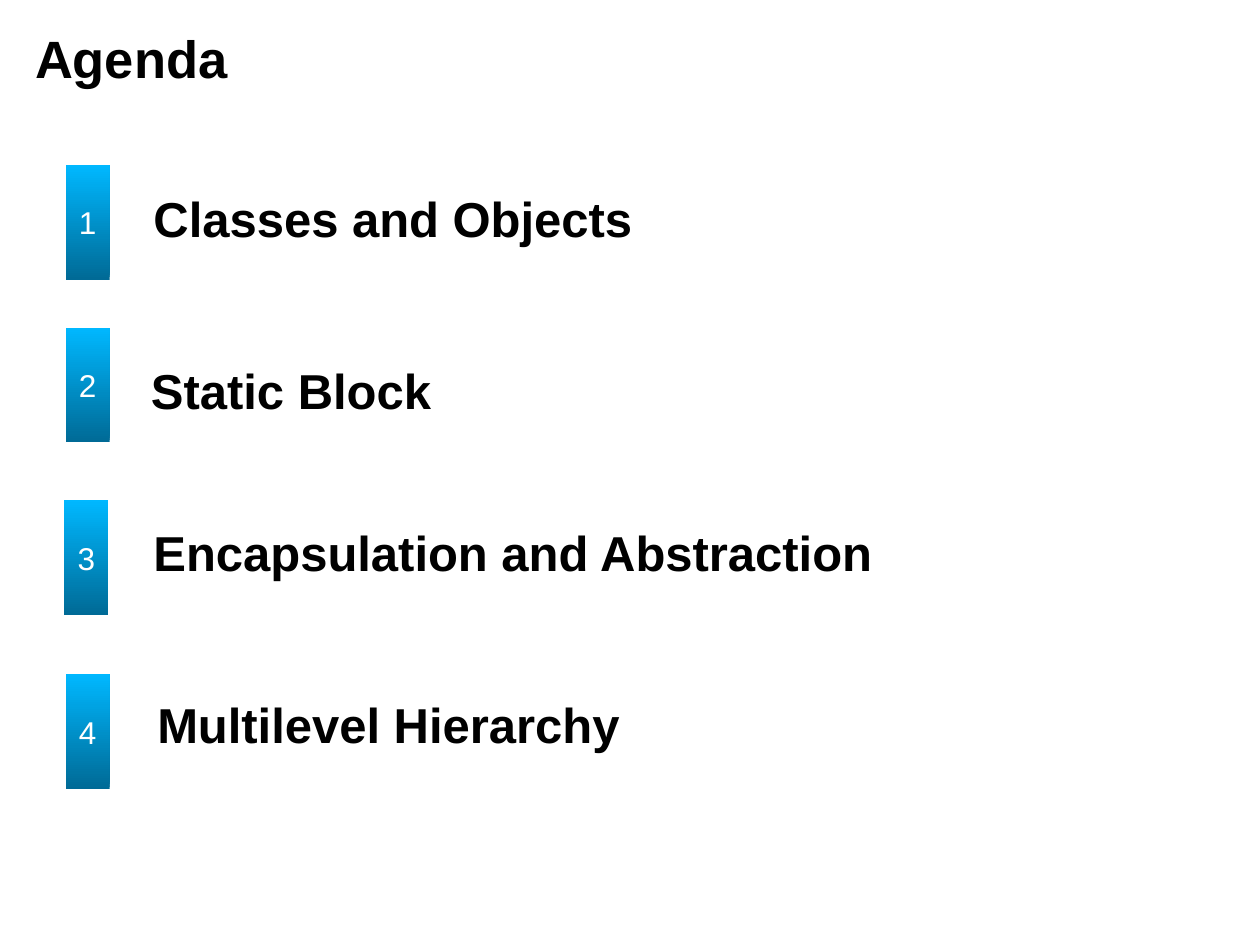
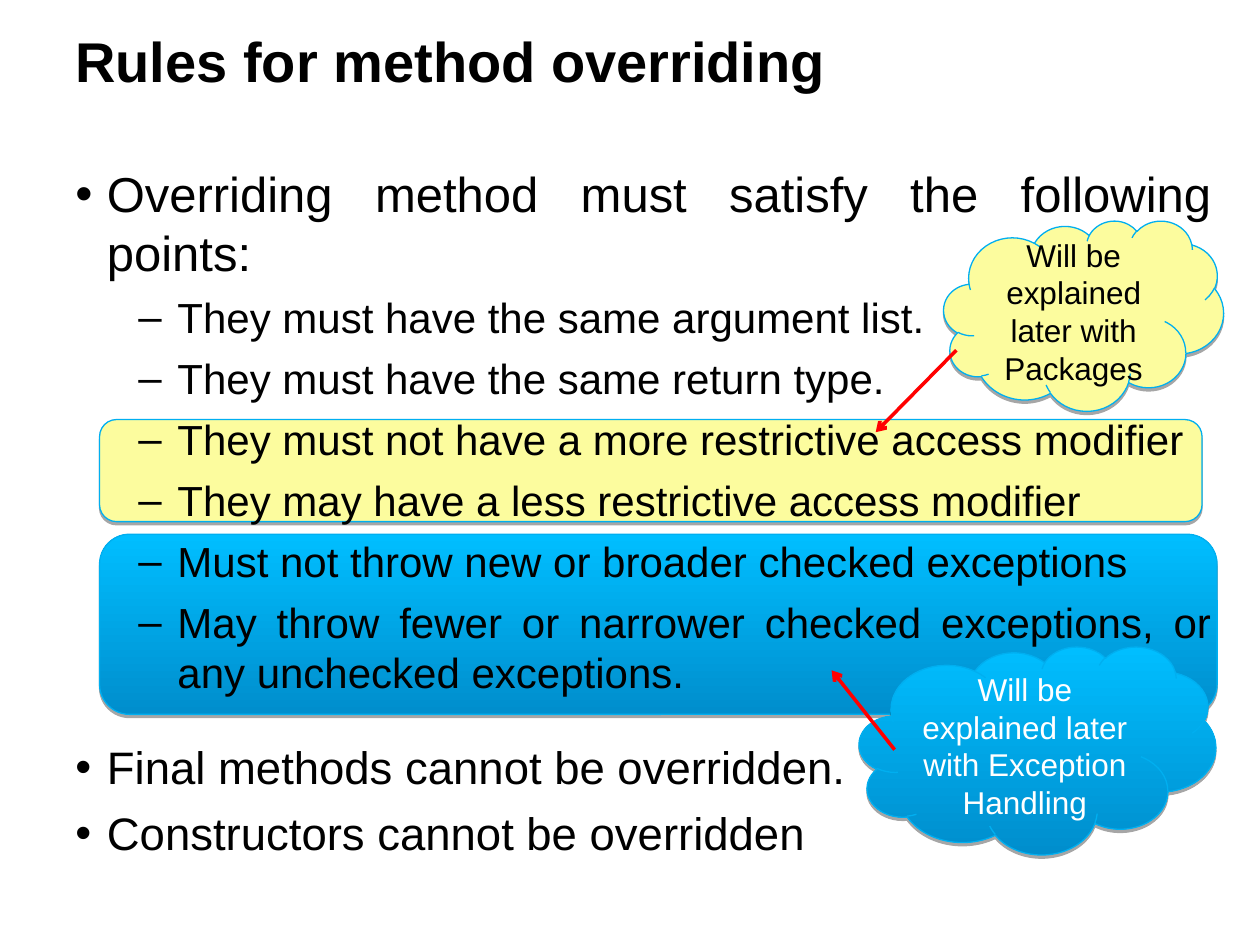
from lxml.etree import SubElement
from pptx import Presentation
from pptx.dml.color import RGBColor
from pptx.enum.shapes import MSO_CONNECTOR as Link, MSO_SHAPE as Shape
from pptx.enum.text import MSO_ANCHOR as Anchor, PP_ALIGN as Align
from pptx.oxml.ns import qn
from pptx.util import Inches, Pt

# Shared look
color = RGBColor.from_string
BLACK, WHITE, RED = "000000", "FFFFFF", "FF0000"
YELLOW, EDGE = "FCFC9E", "00AFF0"
BADGE_BLUE = ("006A96", "00B8FF")  # bottom, top
PANEL_BLUE = ("008ECD", "00BEFF")
TITLE = {"size": Pt(30), "bold": True}
TOPIC = {"size": Pt(28), "bold": True}
NOTE = {"size": Pt(18)}


def write(para, text, formats, ink=BLACK):
    span = para.add_run()
    span.text = text
    for name, value in {"name": "Arial", **formats}.items():
        setattr(span.font, name, value)
    span.font.color.rgb = color(ink)


def add_panel(page, kind, place, fill, edge=None):
    """Add a filled shape; an edged one also gets a soft shadow."""
    panel = page.shapes.add_shape(kind, *map(Inches, place))
    if isinstance(fill, tuple):
        panel.fill.gradient()
        panel.fill.gradient_angle = 90
        for stop, position, shade in zip(panel.fill.gradient_stops, (0, 1), fill):
            stop.position = position
            stop.color.rgb = color(shade)
    else:
        panel.fill.solid()
        panel.fill.fore_color.rgb = color(fill)
    panel.shadow.inherit = False
    if edge:
        panel.line.color.rgb = color(edge)
        panel.line.width = Pt(0.75)
        effects = panel._element.spPr.find(qn("a:effectLst"))
        shadow = SubElement(effects, qn("a:outerShdw"), blurRad="0",
                            dist=str(Pt(1.8)), dir="5400000", rotWithShape="0")
        shade = SubElement(shadow, qn("a:srgbClr"), val=BLACK)
        SubElement(shade, qn("a:alpha"), val="35000")
    else:
        panel.line.fill.background()
    frame = panel.text_frame
    frame.word_wrap = True
    frame.vertical_anchor = Anchor.MIDDLE
    frame.paragraphs[0].alignment = Align.CENTER
    return panel


deck = Presentation()
deck.slide_width, deck.slide_height = Inches(10), Inches(7.5)
blank = deck.slide_layouts[6]
agenda, rules = [deck.slides.add_slide(blank) for _ in range(2)]

# Titles
titles = [
    (agenda, "Agenda", (0.18, 0.16, 9.28, 0.61), TITLE),
    (rules, "Rules for method overriding", (0.5, 0.16, 9, 0.64), {**TITLE, "size": Pt(32)}),
]

# Agenda: numbered badges with their topics
topics = [
    ("Classes and Objects", 0.52, 1.31, 1.12, 1.45),
    ("Static Block", 0.52, 2.6, 1.1, 2.81),
    ("Encapsulation and Abstraction", 0.51, 3.97, 1.12, 4.1),
    ("Multilevel Hierarchy", 0.52, 5.35, 1.15, 5.46),
]
for number, (topic, badge_left, badge_top, left, top) in enumerate(topics, 1):
    badge = add_panel(agenda, Shape.RECTANGLE, (badge_left, badge_top, 0.35, 0.91), BADGE_BLUE)
    write(badge.text_frame.paragraphs[0], str(number), NOTE, WHITE)
    titles.append((agenda, topic, (left, top, 7.67, 0.71), TOPIC))

# Rules: highlight panels behind the list
for place, fill in [((0.79, 3.33, 8.75, 0.81), YELLOW), ((0.79, 4.24, 8.87, 1.43), PANEL_BLUE)]:
    add_panel(rules, Shape.ROUNDED_RECTANGLE, place, fill, EDGE)

# Headings of both slides
for page, text, place, formats in titles:
    box = page.shapes.add_textbox(*map(Inches, place))
    box.text_frame.word_wrap = True
    write(box.text_frame.paragraphs[0], text, formats)

# Rules: bulleted list, as (level, size, space before, text)
points = [
    (0, 28, 0, "Overriding method must satisfy the following points:"),
    (1, 24, 6, "They must have the same argument list."),
    (1, 24, 6, "They must have the same return type."),
    (1, 24, 6, "They must not have a more restrictive access modifier"),
    (1, 24, 6, "They may have a less restrictive access modifier"),
    (1, 24, 6, "Must not throw new or broader checked exceptions"),
    (1, 24, 6, "May throw fewer or narrower checked exceptions, or any unchecked exceptions."),
    (0, 26, 24, "Final methods cannot be overridden."),
    (0, 26, 6.5, "Constructors cannot be overridden"),
]
bullets = [("•", 0.25, 0.25), ("–", 0.81, 0.31)]  # mark, margin, hanging indent
box = rules.shapes.add_textbox(Inches(0.5), Inches(1.25), Inches(9.21), Inches(5.95))
frame = box.text_frame
frame.word_wrap = True
for index, (level, size, before, text) in enumerate(points):
    para = frame.add_paragraph() if index else frame.paragraphs[0]
    mark, margin, hanging = bullets[level]
    props = para._p.get_or_add_pPr()
    props.set("marL", str(Inches(margin)))
    props.set("indent", str(-Inches(hanging)))
    SubElement(SubElement(props, qn("a:buClr")), qn("a:srgbClr"), val=BLACK)
    SubElement(props, qn("a:buFont"), typeface="Arial")
    SubElement(props, qn("a:buChar"), char=mark)
    para.level = level
    para.alignment = Align.JUSTIFY
    if before:
        para.space_before = Pt(before)
    write(para, text, {"size": Pt(size)})

# Rules: clouds, each with an arrow to its panel
clouds = [
    ("Will be explained later with Exception Handling", (6.82, 5.13, 2.83, 1.65),
     PANEL_BLUE, WHITE, (7.1, 5.95, 6.6, 5.32)),
    ("Will be explained later with Packages", (7.49, 1.75, 2.22, 1.51),
     YELLOW, BLACK, (7.59, 2.78, 6.95, 3.43)),
]
for text, place, fill, ink, ends in clouds:
    cloud = add_panel(rules, Shape.CLOUD, place, fill, EDGE)
    write(cloud.text_frame.paragraphs[0], text, NOTE, ink)
    arrow = rules.shapes.add_connector(Link.STRAIGHT, *map(Inches, ends))
    arrow.line.color.rgb = color(RED)
    arrow.line.width = Pt(2)
    SubElement(arrow.line._get_or_add_ln(), qn("a:tailEnd"), type="arrow")
    SubElement(arrow._element.spPr, qn("a:effectLst"))

deck.save("out.pptx")
